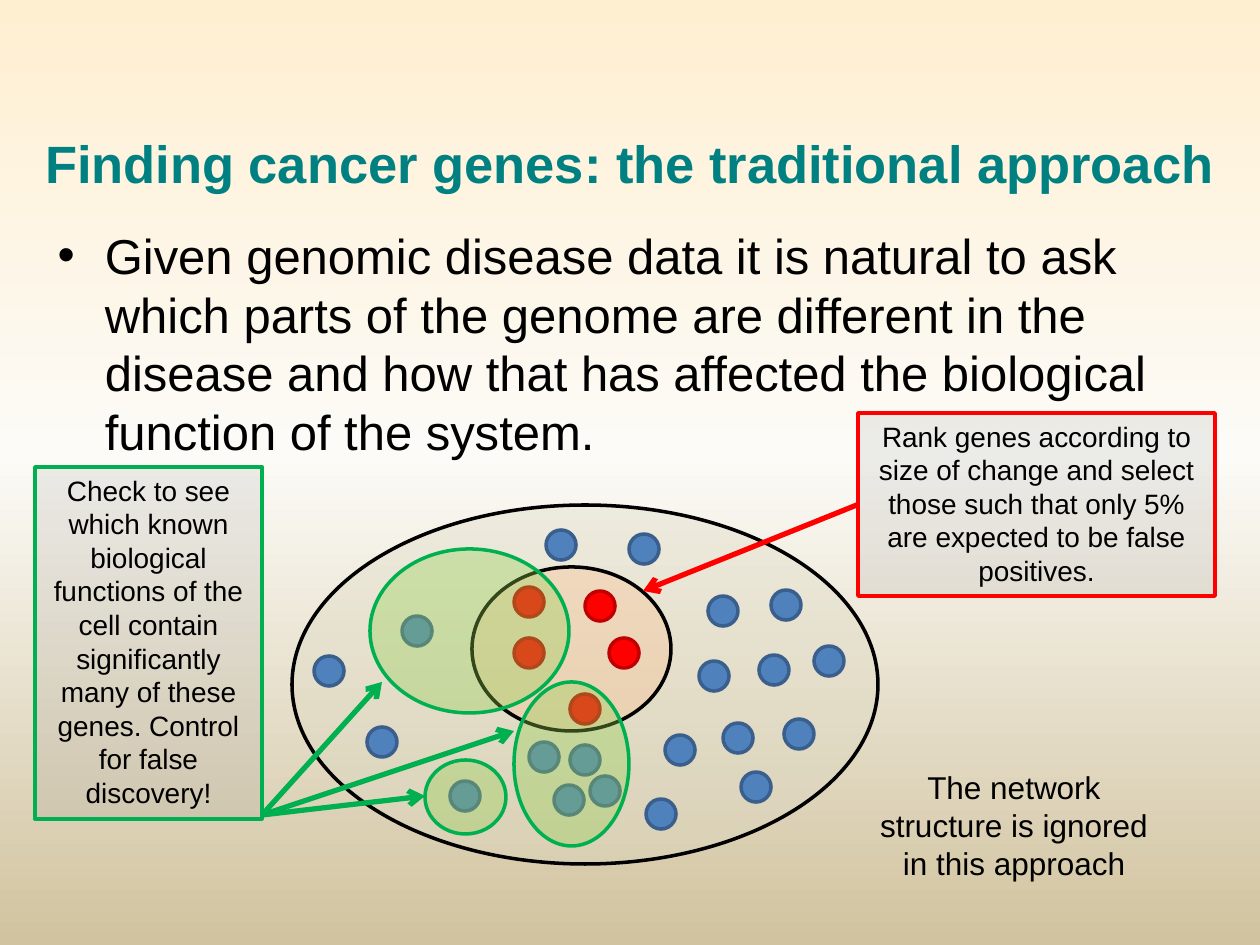
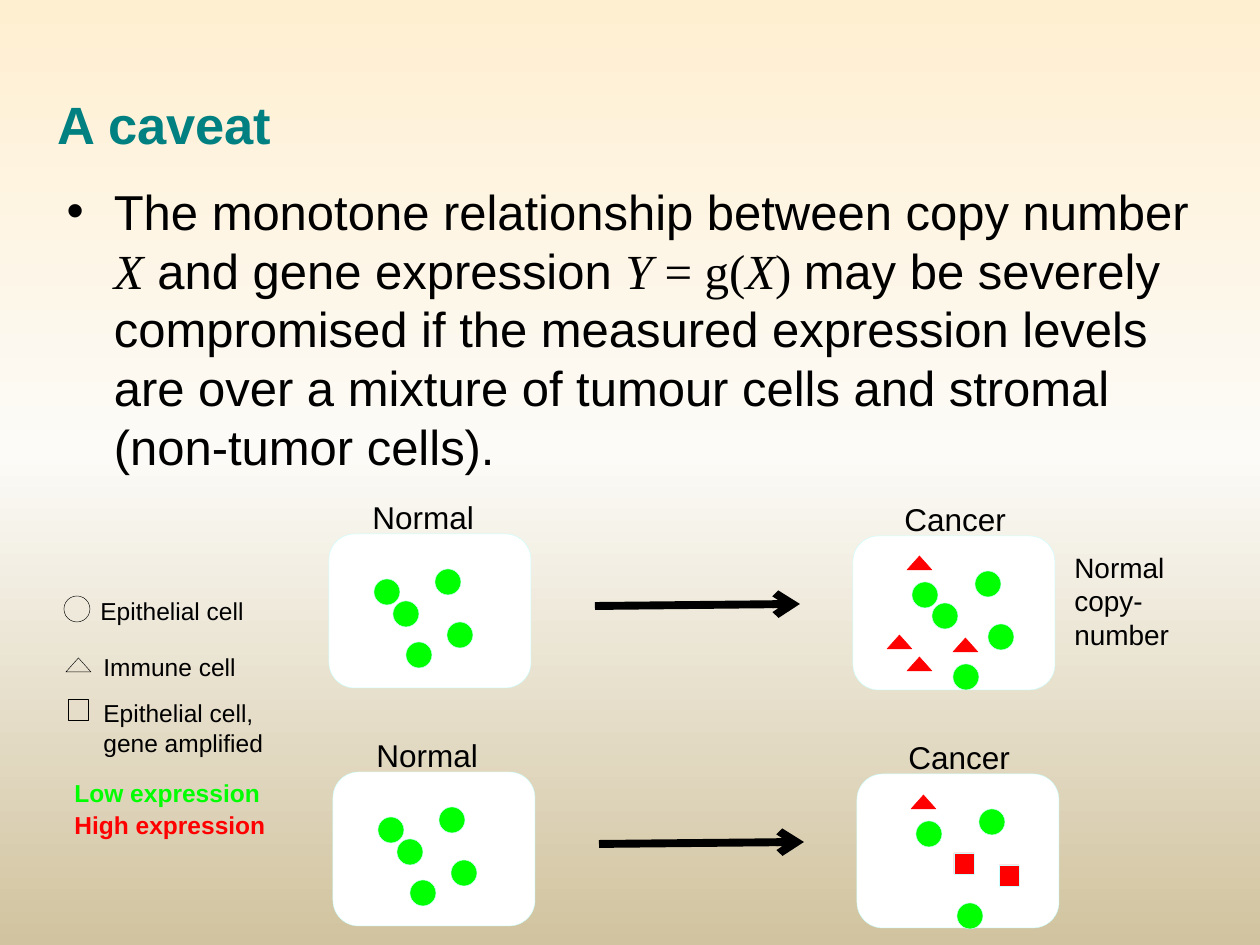
from copy import deepcopy

from pptx import Presentation
from pptx.dml.color import RGBColor
from pptx.enum.shapes import MSO_CONNECTOR as Connector, MSO_SHAPE as Preset
from pptx.enum.text import MSO_ANCHOR as Anchor, MSO_AUTO_SIZE as AutoSize, PP_ALIGN as Align
from pptx.oxml.ns import qn
from pptx.oxml.xmlchemy import OxmlElement
from pptx.util import Emu, Pt

PX = 914400 / 126

BLACK = RGBColor(0x00, 0x00, 0x00)
WHITE = RGBColor(0xFF, 0xFF, 0xFF)
TEAL = RGBColor(0x00, 0x80, 0x80)
GRAY = RGBColor(0x80, 0x80, 0x80)
BLUE = RGBColor(0x4F, 0x81, 0xBD)
BLUE_EDGE = RGBColor(0x3A, 0x5F, 0x8C)
RED = RGBColor(0xFF, 0x00, 0x00)
RED_EDGE = RGBColor(0xC0, 0x00, 0x00)
GREEN = RGBColor(0x00, 0xB0, 0x50)
LIGHT_GREEN = RGBColor(0x92, 0xD0, 0x50)
LIME = RGBColor(0x00, 0xFF, 0x00)
PEACH = RGBColor(0xFA, 0xC0, 0x90)
BEIGE = RGBColor(0xDD, 0xD9, 0xC3)
PALE_CYAN = RGBColor(0xCC, 0xFF, 0xFF)
BACKGROUND = [
    (0, RGBColor(0xFF, 0xEF, 0xD1)),
    (0.48, RGBColor(0xFC, 0xFB, 0xF7)),
    (1, RGBColor(0xD1, 0xC3, 0x9F)),
]

GENE_SIZE = 30
BLUE_GENES = [
    (771, 590), (814, 646), (759, 655), (708, 596), (699, 661),
    (723, 723), (784, 719), (741, 772), (665, 735), (450, 781),
    (554, 785), (402, 616), (646, 799), (629, 534), (546, 530),
    (314, 656), (367, 727), (529, 742), (570, 745), (590, 776),
]
RED_GENES = [(585, 591), (514, 587), (570, 694), (514, 638), (609, 638)]
KNOWN_FUNCTIONS = [(425, 760, 81, 74), (514, 682, 115, 164), (370, 549, 199, 164)]
FUNCTION_ARROW_ENDS = [(382, 682), (514, 731), (425, 796)]

CELLS = {
    "epithelial": (Preset.OVAL, 26, 26, LIME, PALE_CYAN),
    "immune": (Preset.ISOSCELES_TRIANGLE, 25, 14, RED, RED),
    "amplified": (Preset.RECTANGLE, 20, 21, RED, PALE_CYAN),
}
NORMAL_CELLS = {"epithelial": [(45, 45), (64, 67), (118, 88), (106, 35), (77, 108)]}
CANCER_CELLS = [
    {
        "epithelial": [(59, 46), (79, 67), (135, 88), (122, 35), (100, 128)],
        "immune": [(34, 99), (54, 20), (100, 102), (54, 121)],
    },
    {
        "epithelial": [(59, 47), (122, 35), (100, 129)],
        "immune": [(54, 21)],
        "amplified": [(97, 79), (142, 91)],
    },
]
LEGEND = [
    ("epithelial", (64, 596), "Epithelial cell", (88, 590, 180, 43)),
    ("immune", (66, 658), "Immune cell", (91, 646, 180, 43)),
    ("amplified", (68, 699), "Epithelial cell, gene amplified", (91, 692, 236, 72)),
]


def scale(*lengths):
    return [Emu(round(length * PX)) for length in lengths]


def set_background(master):
    fill = master.background.fill
    fill.gradient()
    fill.gradient_angle = 270
    first_stop = master.element.find(".//" + qn("a:gs"))
    first_stop.addnext(deepcopy(first_stop))
    for stop, (position, color) in zip(fill.gradient_stops, BACKGROUND):
        stop.position = position
        stop.color.rgb = color


def style_font(font, size, color=BLACK, bold=False):
    font.name = "Arial"
    font.size = Pt(size)
    font.bold = bold
    font.color.rgb = color


def place(shape, box):
    shape.left, shape.top, shape.width, shape.height = scale(*box)
    frame = shape.text_frame
    frame.auto_size = AutoSize.NONE
    frame.vertical_anchor = Anchor.TOP
    return frame


def add_title(slide, text, box, align):
    frame = place(slide.shapes.title, box)
    frame.text = text
    frame.paragraphs[0].alignment = align
    style_font(frame.paragraphs[0].runs[0].font, 30, TEAL, True)


def add_bullet(slide, box, parts):
    paragraph = place(slide.placeholders[1], box).paragraphs[0]
    paragraph.space_before = Pt(0)
    for text, is_math, italic in parts:
        run = paragraph.add_run()
        run.text = text
        style_font(run.font, 28)
        run.font.italic = italic
        if is_math:
            run.font.name = "Times New Roman"


def add_text(slide, text, box, size, align=Align.LEFT, color=BLACK, bold=False):
    text_box = slide.shapes.add_textbox(*scale(*box))
    frame = text_box.text_frame
    frame.word_wrap = True
    frame.text = text
    frame.paragraphs[0].alignment = align
    style_font(frame.paragraphs[0].runs[0].font, size, color, bold)
    return text_box


def set_fill(shape, color, opacity=None):
    shape.fill.solid()
    shape.fill.fore_color.rgb = color
    if opacity:
        alpha = OxmlElement("a:alpha")
        alpha.set("val", str(opacity * 1000))
        shape.element.spPr.find(qn("a:solidFill"))[0].append(alpha)


def set_line(shape, color, width):
    shape.line.color.rgb = color
    shape.line.width = Pt(width)


def add_shape(slide, preset, box, fill, line, width, opacity=None):
    shape = slide.shapes.add_shape(preset, *scale(*box))
    shape.shadow.inherit = False
    if fill is None:
        shape.fill.background()
    else:
        set_fill(shape, fill, opacity)
    set_line(shape, line, width)
    return shape


def add_callout(slide, text, box, color):
    callout = add_text(slide, text, box, 16, Align.CENTER)
    set_fill(callout, GRAY, 13)
    set_line(callout, color, 2)
    return callout


def add_arrow(slide, start, end, color, width):
    arrow = slide.shapes.add_connector(Connector.STRAIGHT, *scale(*start, *end))
    set_line(arrow, color, width)
    tail = OxmlElement("a:tailEnd")
    tail.set("type", "arrow")
    arrow.line._get_or_add_ln().append(tail)
    arrow.element.spPr.append(OxmlElement("a:effectLst"))
    return arrow


def add_genes(slide, positions, fill, line):
    for position in positions:
        add_shape(slide, Preset.OVAL, (*position, GENE_SIZE, GENE_SIZE), fill, line, 2)


def add_cell(slide, kind, position, outlined=False):
    preset, width, height, fill, line = CELLS[kind]
    if outlined:
        fill, line = None, BLACK
    add_shape(slide, preset, (*position, width, height), fill, line, 0.25)


def add_dish(slide, label, left, top, label_indent, cells):
    add_text(slide, label, (left + label_indent, top - 42, 249, 50), 18)
    add_shape(slide, Preset.ROUNDED_RECTANGLE, (left, top, 202, 154), WHITE, PALE_CYAN, 0.25)
    for kind, offsets in cells.items():
        for x, y in offsets:
            add_cell(slide, kind, (left + x, top + y))


def add_legend(slide):
    for kind, position, text, box in LEGEND:
        add_cell(slide, kind, position, outlined=True)
        add_text(slide, text, box, 14)
    add_text(slide, "Low expression", (62, 772, 299, 43), 14, color=LIME, bold=True)
    add_text(slide, "High expression", (62, 804, 299, 43), 14, color=RED, bold=True)


def build_traditional_approach(slide):
    add_shape(slide, Preset.OVAL, (292, 505, 586, 359), BEIGE, BLACK, 2, 35)
    add_title(slide, "Finding cancer genes: the traditional approach",
              (0, 125, 1260, 98), Align.CENTER)
    add_bullet(slide, (45, 219, 1169, 263), [
        ("Given genomic disease data it is natural to ask which parts of the genome are "
         "different in the disease and how that has affected the biological function "
         "of the system.", False, False),
    ])
    add_shape(slide, Preset.OVAL, (472, 567, 199, 164), PEACH, BLACK, 2, 35)
    add_genes(slide, BLUE_GENES, BLUE, BLUE_EDGE)
    add_genes(slide, RED_GENES, RED, RED_EDGE)

    ranking = add_callout(
        slide, "Rank genes according to size of change and select those such that only "
        "5% are expected to be false positives.", (858, 413, 357, 183), RED)
    ranking_arrow = add_arrow(slide, (858, 504), (643, 591), RED, 3)
    ranking_arrow.begin_connect(ranking, 1)

    for end in FUNCTION_ARROW_ENDS:
        add_arrow(slide, (262, 815), end, GREEN, 3)
    add_callout(
        slide, "Check to see which known biological functions of the cell contain "
        "significantly many of these genes. Control for false discovery!",
        (35, 467, 227, 352), GREEN)
    add_text(slide, "The network structure is ignored in this approach",
             (858, 762, 312, 127), 18, Align.CENTER)
    for box in KNOWN_FUNCTIONS:
        add_shape(slide, Preset.OVAL, box, LIGHT_GREEN, GREEN, 2, 35)


def build_caveat(slide):
    add_title(slide, "A caveat", (45, 86, 1169, 76), Align.LEFT)
    add_bullet(slide, (54, 175, 1155, 310), [
        ("The monotone relationship between copy number ", False, False),
        ("X", True, True),
        (" and gene expression ", False, False),
        ("Y", True, True),
        (" = g(", True, False),
        ("X", True, True),
        (") ", True, False),
        ("may be severely compromised if the measured expression levels are over a "
         "mixture of tumour cells and stromal (non-tumor cells).", False, False),
    ])
    for row, cancer_cells in enumerate(CANCER_CELLS):
        x, y = 4 * row, 238 * row
        add_dish(slide, "Normal", 329 + x, 534 + y, 31, NORMAL_CELLS)
        add_dish(slide, "Cancer", 853 + x, 536 + y, 39, cancer_cells)
        add_arrow(slide, (595 + x, 606 + y), (800 + x, 604 + y), BLACK, 4.5)
    add_text(slide, "Normal copy-number", (1062, 544, 163, 115), 16)
    add_legend(slide)


def main():
    presentation = Presentation()
    presentation.slide_width, presentation.slide_height = scale(1260, 945)
    set_background(presentation.slide_master)
    layout = presentation.slide_layouts[1]
    for build in (build_traditional_approach, build_caveat):
        build(presentation.slides.add_slide(layout))
    presentation.save("out.pptx")


if __name__ == "__main__":
    main()
